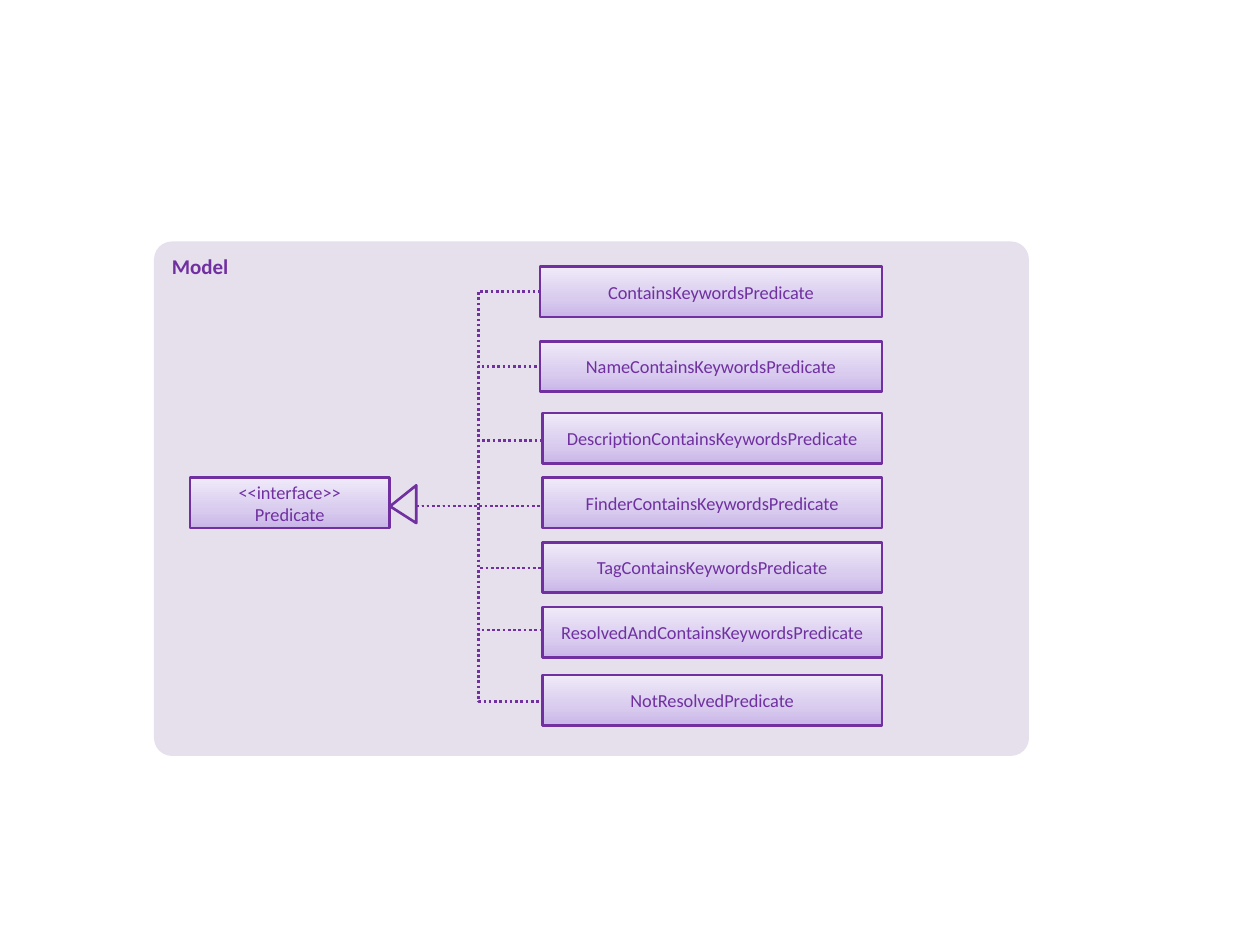
from pptx import Presentation
from pptx.util import Pt
from pptx.dml.color import RGBColor
from pptx.enum.dml import MSO_LINE
from pptx.enum.shapes import MSO_SHAPE, MSO_CONNECTOR
from pptx.enum.text import PP_ALIGN, MSO_ANCHOR, MSO_AUTO_SIZE
from pptx.oxml.ns import qn
from lxml.etree import SubElement
from copy import deepcopy
from dataclasses import dataclass


@dataclass
class Theme:
    ink: RGBColor = RGBColor.from_string("7030A0")
    panel: RGBColor = RGBColor.from_string("E6E0EC")
    fade: tuple = ((0, "C9B5E8"), (0.35, "D8CBEE"), (1, "F0EAF9"))
    font: str = "Calibri"
    head: float = 12
    body: float = 10.5
    line: float = 1.5


theme = Theme()


def write(shape, text, size, bold, align, anchor):
    frame = shape.text_frame
    frame.text = text
    look = {"word_wrap": True, "auto_size": MSO_AUTO_SIZE.NONE, "vertical_anchor": anchor,
            "margin_left": Pt(7.2), "margin_right": Pt(7.2),
            "margin_top": Pt(3.6), "margin_bottom": Pt(3.6)}
    for key, value in look.items():
        setattr(frame, key, value)
    for para in frame.paragraphs:
        para.alignment = align
        for run in para.runs:
            face = {"name": theme.font, "size": Pt(size), "bold": bold}
            for key, value in face.items():
                setattr(run.font, key, value)
            run.font.color.rgb = theme.ink


def draw(kind, left, top, width, height):
    shape = slide.shapes.add_shape(kind, Pt(left), Pt(top), Pt(width), Pt(height))
    shape.shadow.inherit = False
    shape.fill.solid()
    shape.fill.fore_color.rgb = theme.panel
    shape.line.color.rgb = theme.ink
    shape.line.width = Pt(theme.line)
    return shape


deck = Presentation()
deck.slide_width, deck.slide_height = Pt(720), Pt(540)
slide = deck.slides.add_slide(deck.slide_layouts[5])

panel = draw(MSO_SHAPE.ROUNDED_RECTANGLE, 88, 138, 500, 294)
panel.adjustments[0] = 0.035
panel.line.fill.background()

title = slide.shapes.title
place = {"left": Pt(91), "top": Pt(141), "width": Pt(120), "height": Pt(24)}
for key, value in place.items():
    setattr(title, key, value)
write(title, "Model", theme.head, True, PP_ALIGN.LEFT, MSO_ANCHOR.TOP)
slide.shapes._spTree.append(title._element)

right, tall = 504, 28.8
rows = [
    ("ContainsKeywordsPredicate", 308.7, 152.3, 166.5),
    ("NameContainsKeywordsPredicate", 308.7, 195, 209.3),
    ("DescriptionContainsKeywordsPredicate", 310, 236, 251.7),
    ("FinderContainsKeywordsPredicate", 310, 273, 289.2),
    ("TagContainsKeywordsPredicate", 310, 310, 324.7),
    ("ResolvedAndContainsKeywordsPredicate", 310, 347, 360),
    ("NotResolvedPredicate", 310, 385.7, 401),
]

boxes = [("<<interface>>\vPredicate", 108.6, 273, 114)]
boxes += [(name, left, top, right - left) for name, left, top, end in rows]
for name, left, top, width in boxes:
    box = draw(MSO_SHAPE.RECTANGLE, left, top, width, tall)
    box.fill.gradient()
    box.fill.gradient_angle = 90
    stops = box._element.spPr.find(qn("a:gradFill")).find(qn("a:gsLst"))
    stops.append(deepcopy(stops[0]))
    for stop, (pos, tint) in zip(box.fill.gradient_stops, theme.fade):
        stop.position = pos
        stop.color.rgb = RGBColor.from_string(tint)
    write(box, name, theme.body, False, PP_ALIGN.CENTER, MSO_ANCHOR.MIDDLE)

tip = draw(MSO_SHAPE.ISOSCELES_TRIANGLE, 219.6, 280.6, 21.6, 15)
tip.rotation = 270
tip.adjustments[0] = 0.445

for name, left, top, end in rows:
    link = slide.shapes.add_connector(
        MSO_CONNECTOR.ELBOW, Pt(237.9), Pt(289.2), Pt(309), Pt(end))
    link.line.color.rgb = theme.ink
    link.line.width = Pt(theme.line)
    link.line.dash_style = MSO_LINE.ROUND_DOT
    SubElement(link._element.spPr, qn("a:effectLst"))

deck.save("out.pptx")
